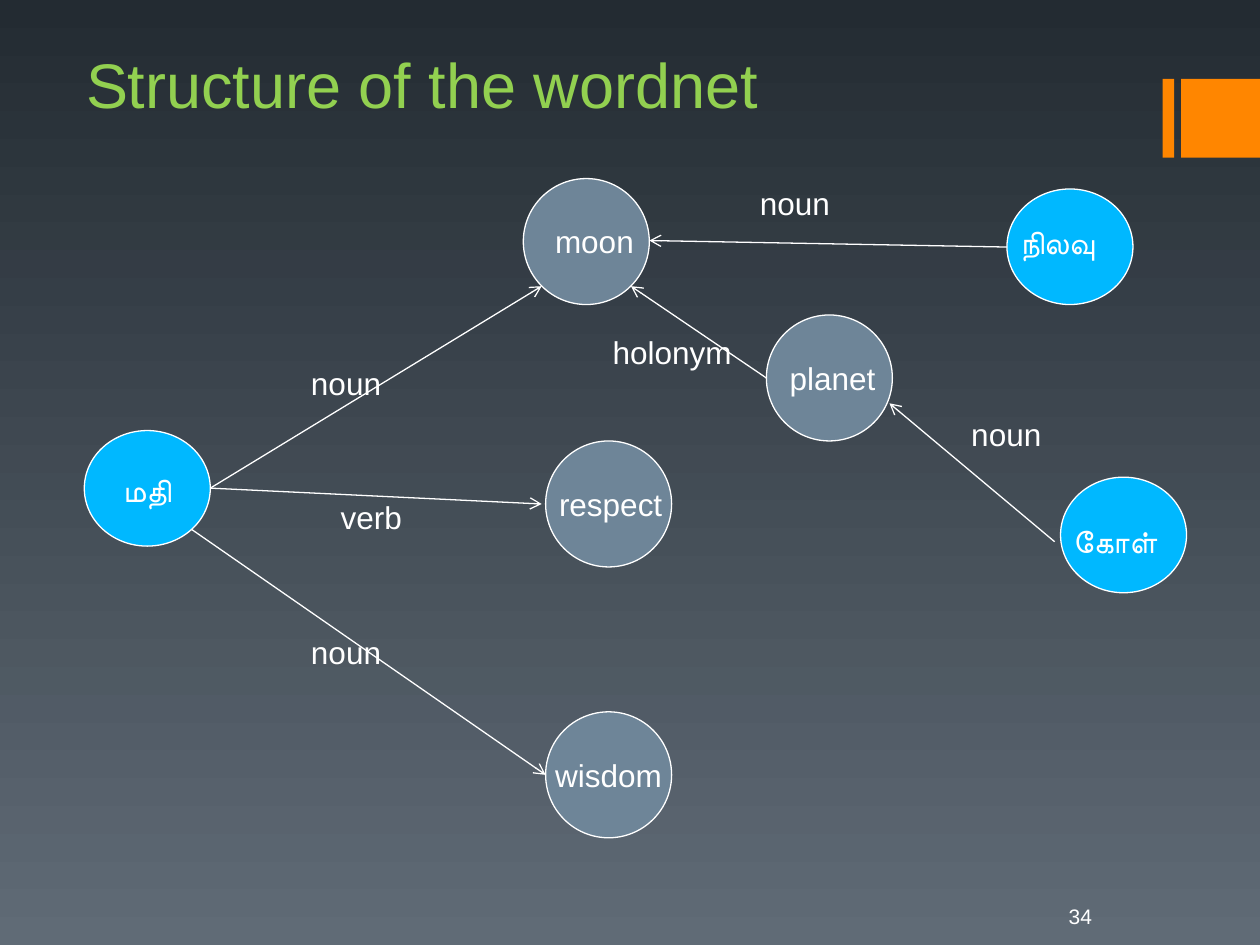
from dataclasses import dataclass

from lxml.etree import SubElement
from pptx import Presentation
from pptx.dml.color import RGBColor
from pptx.enum.shapes import MSO_CONNECTOR, MSO_SHAPE
from pptx.enum.text import MSO_ANCHOR, MSO_AUTO_SIZE, PP_ALIGN
from pptx.oxml.ns import qn
from pptx.slide import Slide
from pptx.util import Cm, Pt

WHITE = RGBColor(0xFF, 0xFF, 0xFF)
GREEN = RGBColor(0x92, 0xD0, 0x50)
ORANGE = RGBColor(0xFF, 0x86, 0x00)
BLUE = RGBColor(0x00, 0xB8, 0xFF)
SLATE = RGBColor(0x6E, 0x85, 0x98)
NIGHT = RGBColor(0x23, 0x2B, 0x32)
DUSK = RGBColor(0x60, 0x6B, 0x76)

TAMIL_WORDS = [
    ("மதி", (1.70, 8.68), (2.24, 9.37), 1.6),
    ("கோள்", (21.38, 9.62), (21.39, 10.4), 3.18),
    ("நிலவு", (20.3, 3.81), (20.32, 4.37), 3.43),
]
ENGLISH_WORDS = [
    ("moon", (10.55, 3.6), (10.94, 4.35), 2.2),
    ("respect", (11, 8.89), (11.02, 9.65), 2.7),
    ("wisdom", (11, 14.35), (10.94, 15.11), 2.75),
    ("planet", (15.45, 6.35), (15.67, 7.11), 2.35),
]
RELATIONS = [
    ("noun", (4.24, 9.84), (10.92, 5.77), (6.02, 7.21), 2.05),
    ("verb", (4.24, 9.84), (10.92, 10.16), (6.62, 9.91), 1.85),
    ("noun", (3.86, 10.67), (11, 15.62), (6.02, 12.63), 2.05),
    ("noun", (21.26, 10.92), (17.93, 8.13), (19.33, 8.24), 2.05),
    ("noun", (20.3, 4.98), (13.09, 4.85), (15.07, 3.58), 2.05),
    ("holonym", (15.45, 7.62), (12.72, 5.77), (12.1, 6.59), 3),
]


def write_text(frame, text, size=18, color=WHITE, font="Arial",
               align=PP_ALIGN.LEFT, anchor=MSO_ANCHOR.TOP):
    frame.word_wrap = True
    frame.vertical_anchor = anchor
    paragraph = frame.paragraphs[0]
    paragraph.alignment = align
    run = paragraph.add_run()
    run.text = text
    run.font.size = Pt(size)
    run.font.name = font
    run.font.color.rgb = color


@dataclass
class WordnetSlide:
    slide: Slide
    outline: RGBColor = WHITE
    outline_width: float = 0.75
    label_height: float = 1.02

    def background(self, top, bottom):
        fill = self.slide.background.fill
        fill.gradient()
        fill.gradient_angle = 270
        for stop, color, position in zip(fill.gradient_stops, (top, bottom), (0, 1)):
            stop.color.rgb = color
            stop.position = position

    def title(self, text):
        heading = self.slide.shapes.title
        heading.left, heading.top = Cm(1.48), Cm(-0.64)
        heading.width, heading.height = Cm(20.32), Cm(3.2)
        write_text(heading.text_frame, text, size=36, color=GREEN,
                   anchor=MSO_ANCHOR.BOTTOM)
        heading.text_frame.auto_size = MSO_AUTO_SIZE.NONE

    def shape(self, preset, corner, width, height, color):
        body = self.slide.shapes.add_shape(
            preset, Cm(corner[0]), Cm(corner[1]), Cm(width), Cm(height))
        body.shadow.inherit = False
        body.fill.solid()
        body.fill.fore_color.rgb = color
        return body

    def accent(self, corner, width):
        bar = self.shape(MSO_SHAPE.RECTANGLE, corner, width, 1.59, ORANGE)
        bar.line.fill.background()

    def label(self, text, corner, width, height=None, **style):
        box = self.slide.shapes.add_textbox(
            Cm(corner[0]), Cm(corner[1]), Cm(width), Cm(height or self.label_height))
        write_text(box.text_frame, text, **style)

    def node(self, word, corner, word_corner, word_width, height, color):
        circle = self.shape(MSO_SHAPE.OVAL, corner, 2.54, height, color)
        circle.line.color.rgb = self.outline
        circle.line.width = Pt(self.outline_width)
        self.label(word, word_corner, word_width)

    def arrow(self, start, end):
        link = self.slide.shapes.add_connector(
            MSO_CONNECTOR.STRAIGHT, *(Cm(value) for value in (*start, *end)))
        link.line.color.rgb = self.outline
        link.line.width = Pt(self.outline_width)
        SubElement(link.line._get_or_add_ln(), qn("a:tailEnd"), type="arrow")
        SubElement(link._element.spPr, qn("a:effectLst"))


def main():
    deck = Presentation()
    deck.slide_width, deck.slide_height = Cm(25.4), Cm(19.05)
    wordnet = WordnetSlide(deck.slides.add_slide(deck.slide_layouts[5]))

    wordnet.background(NIGHT, DUSK)
    wordnet.accent((23.44, 1.59), 0.23)
    wordnet.accent((23.81, 1.59), 1.59)
    wordnet.title("Structure of the wordnet")
    for word in TAMIL_WORDS:
        wordnet.node(*word, height=2.33, color=BLUE)
    for word in ENGLISH_WORDS:
        wordnet.node(*word, height=2.54, color=SLATE)
    for relation, start, end, corner, width in RELATIONS:
        wordnet.arrow(start, end)
        wordnet.label(relation, corner, width)
    wordnet.label("34", (21.08, 18.01), 1.4, height=0.84, size=12,
                  align=PP_ALIGN.CENTER, anchor=MSO_ANCHOR.BOTTOM)

    deck.save("out.pptx")


if __name__ == "__main__":
    main()
